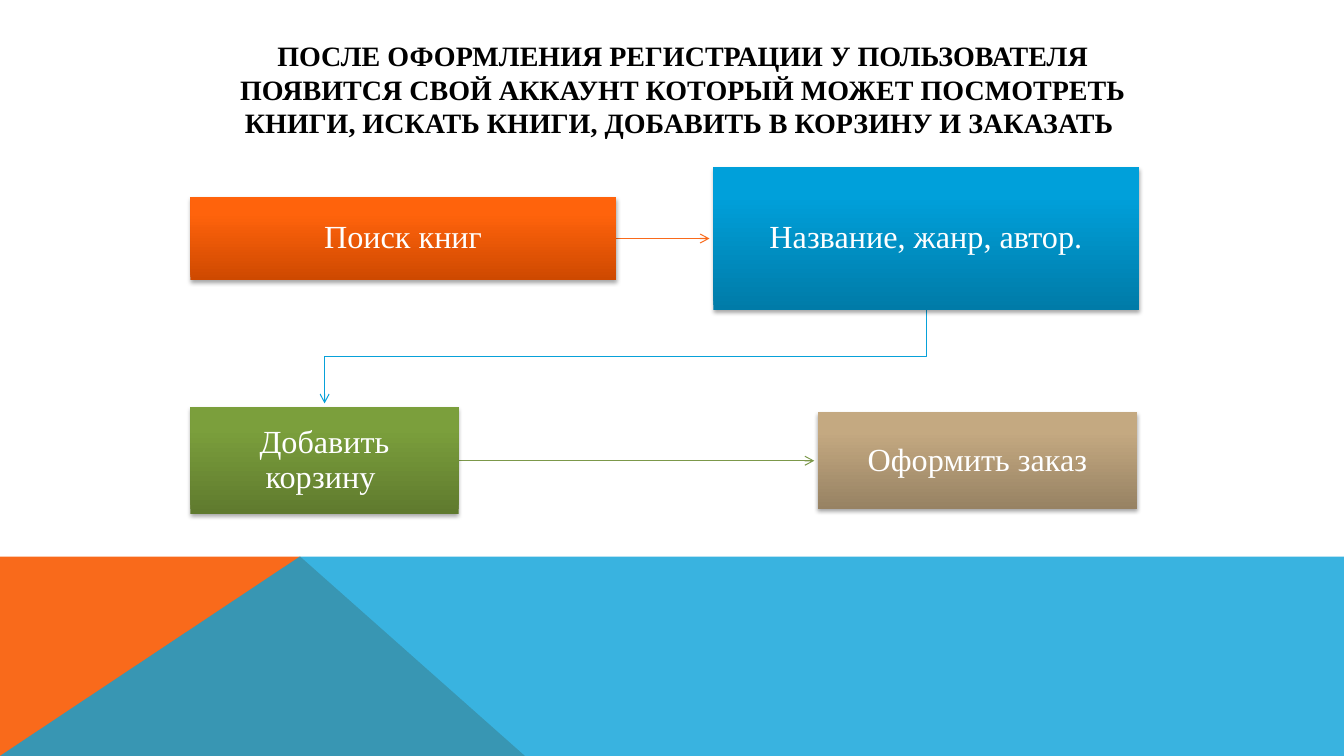
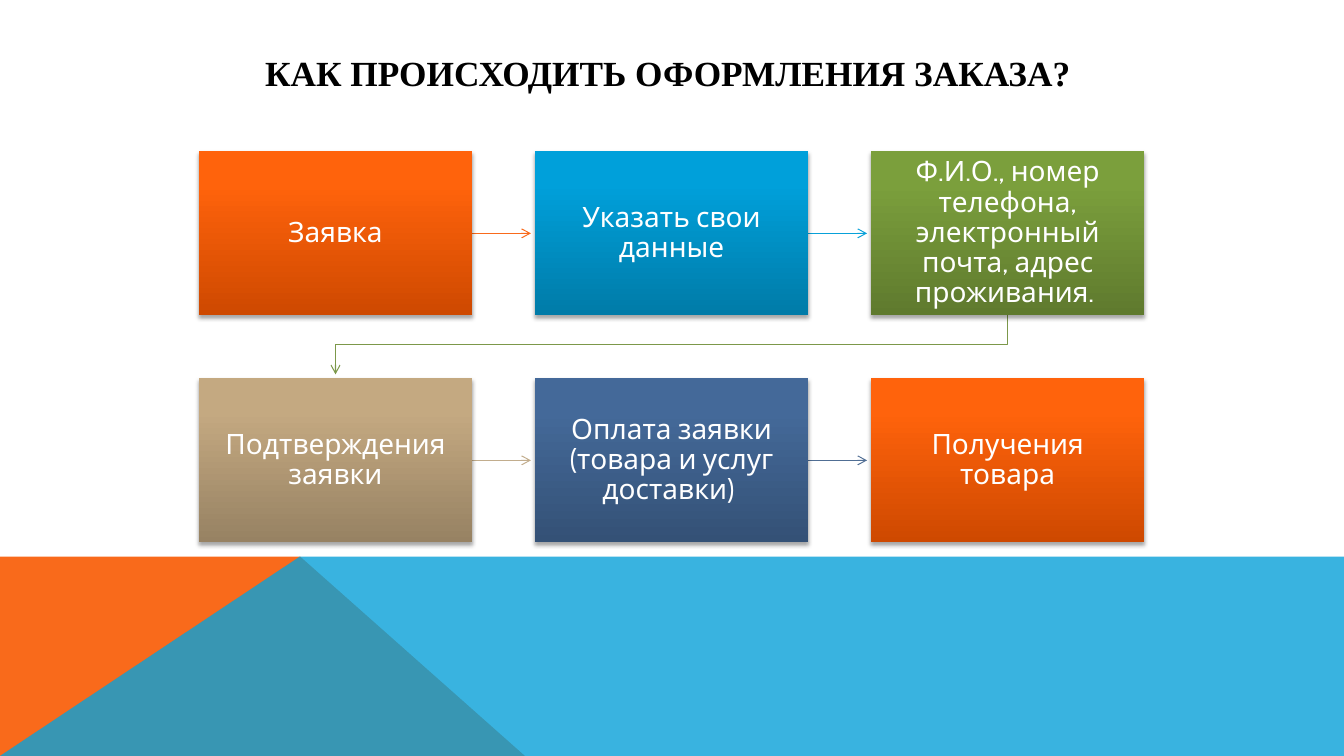
from lxml import etree
from pptx import Presentation
from pptx.dml.color import RGBColor
from pptx.enum import shapes, text
from pptx.oxml import parse_xml
from pptx.oxml.ns import nsdecls, qn
from pptx.util import Cm, Pt

BLACK = RGBColor(0x00, 0x00, 0x00)
WHITE = RGBColor(0xFF, 0xFF, 0xFF)
ORANGE = RGBColor(0xF9, 0x6A, 0x1B)
BLUE = RGBColor(0x08, 0xA1, 0xD9)
GREEN = RGBColor(0x7C, 0x98, 0x4A)
SAND = RGBColor(0xC2, 0xAD, 0x8D)
NAVY = RGBColor(0x50, 0x6E, 0x94)

# Arrow colour, then box gradient: bottom and top
THEMES = [
    (ORANGE, RGBColor(0xCE, 0x49, 0x00), RGBColor(0xFF, 0x63, 0x0C)),
    (BLUE, RGBColor(0x00, 0x7B, 0xA8), RGBColor(0x00, 0xA0, 0xDA)),
    (GREEN, RGBColor(0x5F, 0x7A, 0x2E), RGBColor(0x7B, 0x9F, 0x3C)),
    (SAND, RGBColor(0x97, 0x82, 0x63), RGBColor(0xC4, 0xA9, 0x81)),
    (NAVY, RGBColor(0x34, 0x51, 0x76), RGBColor(0x44, 0x69, 0x99)),
]
SERIF = "Times New Roman"
WIDTH, HEIGHT = 33.87, 19.05
GAP = 0.1  # between arrow tip and box

# Bottom bands: colour, opacity in percent, corners
BANDS = [
    (ORANGE, 100, [(0, HEIGHT), (0, 14.03), (7.57, 14.03), (13.23, HEIGHT)]),
    (BLUE, 80, [(0, HEIGHT), (7.55, 14.03), (WIDTH, 14.03),
                (WIDTH, HEIGHT)]),
]

# Account steps: text, left, middle, width, height
ROWS = (6.01, 11.61)
ACCOUNT = [
    ("Поиск книг", 4.8, ROWS[0], 10.72, 2.1),
    ("Название, жанр, автор.", 17.98, ROWS[0], 10.72, 3.6),
    ("Добавить корзину ", 4.8, ROWS[1], 6.76, 2.69),
    ("Оформить заказ", 20.62, ROWS[1], 8.03, 2.44),
]

# Order steps: three to a row
ORDER = [
    "Заявка",
    "Указать свои данные",
    "Ф.И.О., номер телефона, электронный почта, адрес проживания. ",
    "Подтверждения заявки",
    "Оплата заявки (товара и услуг доставки) ",
    "Получения товара",
]
COLS, LEFT, MIDDLE = 3, 5.01, 5.88
BOX_W, BOX_H, STEP_X, STEP_Y = 6.89, 4.13, 8.47, 5.72

# Title text, box, size, alignment; then steps, font, size, inset
SLIDES = [
    dict(title="ПОСЛЕ ОФОРМЛЕНИЯ РЕГИСТРАЦИИ У ПОЛЬЗОВАТЕЛЯ ПОЯВИТСЯ СВОЙ "
               "АККАУНТ КОТОРЫЙ МОЖЕТ ПОСМОТРЕТЬ КНИГИ, ИСКАТЬ КНИГИ, "
               "ДОБАВИТЬ В КОРЗИНУ И ЗАКАЗАТЬ ",
         area=(5.56, 0.71, 23.29, 3.07), size=20,
         align=text.PP_ALIGN.CENTER,
         steps=ACCOUNT, font=SERIF, points=23, inset=0.46),
    dict(title="КАК ПРОИСХОДИТЬ ОФОРМЛЕНИЯ ЗАКАЗА?",
         area=(6.43, 1, 23.88, 1.66), size=25.2,
         align=text.PP_ALIGN.LEFT,
         steps=[(step, LEFT + i % COLS * STEP_X,
                 MIDDLE + i // COLS * STEP_Y, BOX_W, BOX_H)
                for i, step in enumerate(ORDER)],
         font="Cabin", points=20, inset=0.4),
]


def add_bands(slide):
    for color, alpha, points in BANDS:
        corners = [(Cm(x), Cm(y)) for x, y in points]
        form = slide.shapes.build_freeform(*corners[0], scale=1.0)
        form.add_line_segments(corners[1:], close=True)
        band = form.convert_to_shape()
        band.shadow.inherit = False
        band.line.fill.background()
        band.fill.solid()
        band.fill.fore_color.rgb = color
        tint = band._element.spPr.find(".//" + qn("a:srgbClr"))
        etree.SubElement(tint, qn("a:alpha"), val=str(alpha * 1000))


def write(shape, words, font, size, color, align):
    frame = shape.text_frame
    frame.word_wrap = True
    frame.vertical_anchor = text.MSO_ANCHOR.MIDDLE
    para = frame.paragraphs[0]
    para.text = words
    para.alignment = align
    para.font.name, para.font.size = font, Pt(size)
    para.font.color.rgb = color
    return frame, para


def add_title(slide, page):
    box = slide.shapes.add_textbox(*map(Cm, page["area"]))
    _, para = write(box, page["title"], SERIF, page["size"], BLACK,
                    page["align"])
    para.font.bold = True


def add_step(slide, step, theme, page):
    words, left, mid, width, height = step
    box = slide.shapes.add_shape(
        shapes.MSO_SHAPE.RECTANGLE,
        *map(Cm, (left, mid - height / 2, width, height)))
    box.line.fill.background()
    box.fill.gradient()
    box.fill.gradient_angle = 90
    for stop, color, place in zip(box.fill.gradient_stops, theme[1:],
                                  (0, 0.8)):
        stop.color.rgb, stop.position = color, place
    box._element.spPr.append(parse_xml(
        f'<a:effectLst {nsdecls("a")}><a:outerShdw blurRad="39000" '
        'dist="23000" dir="5400000" rotWithShape="0"><a:srgbClr '
        'val="000000"><a:alpha val="35000"/></a:srgbClr></a:outerShdw>'
        '</a:effectLst>'))
    frame, para = write(box, words, page["font"], page["points"], WHITE,
                        text.PP_ALIGN.CENTER)
    para.line_spacing = 0.9
    frame.margin_left = frame.margin_right = Cm(page["inset"])
    frame.margin_top = frame.margin_bottom = Cm(page["inset"])


def add_arrow(slide, start, end, color):
    _, x1, y1, w1, h1 = start
    _, x2, y2, w2, h2 = end
    kinds = shapes.MSO_CONNECTOR
    turn = y1 != y2
    if turn:
        # Down, left, down: an elbow turned a quarter about its centre
        x1, y1 = x1 + w1 / 2, y1 + h1 / 2
        x2, y2 = x2 + w2 / 2, y2 - h2 / 2 - GAP
        mid_x, mid_y = (x1 + x2) / 2, (y1 + y2) / 2
        dx, dy = (y2 - y1) / 2, (x1 - x2) / 2
        ends = mid_x - dx, mid_y - dy, mid_x + dx, mid_y + dy
    else:
        ends = x1 + w1, y1, x2 - GAP, y2
    arrow = slide.shapes.add_connector(
        kinds.ELBOW if turn else kinds.STRAIGHT, *map(Cm, ends))
    arrow.line.color.rgb = color
    arrow.line.width = Pt(0.75)
    props = arrow._element.spPr
    if turn:
        props.find(qn("a:xfrm")).set("rot", "5400000")
    etree.SubElement(props.find(qn("a:ln")), qn("a:tailEnd"), type="arrow")
    etree.SubElement(props, qn("a:effectLst"))


def main():
    deck = Presentation()
    deck.slide_width, deck.slide_height = Cm(WIDTH), Cm(HEIGHT)
    for page in SLIDES:
        slide = deck.slides.add_slide(deck.slide_layouts[6])
        add_bands(slide)
        add_title(slide, page)
        steps = page["steps"]
        for i, step in enumerate(steps):
            theme = THEMES[i % len(THEMES)]
            if i + 1 < len(steps):
                add_arrow(slide, step, steps[i + 1], theme[0])
            add_step(slide, step, theme, page)
    deck.save("out.pptx")


if __name__ == "__main__":
    main()
